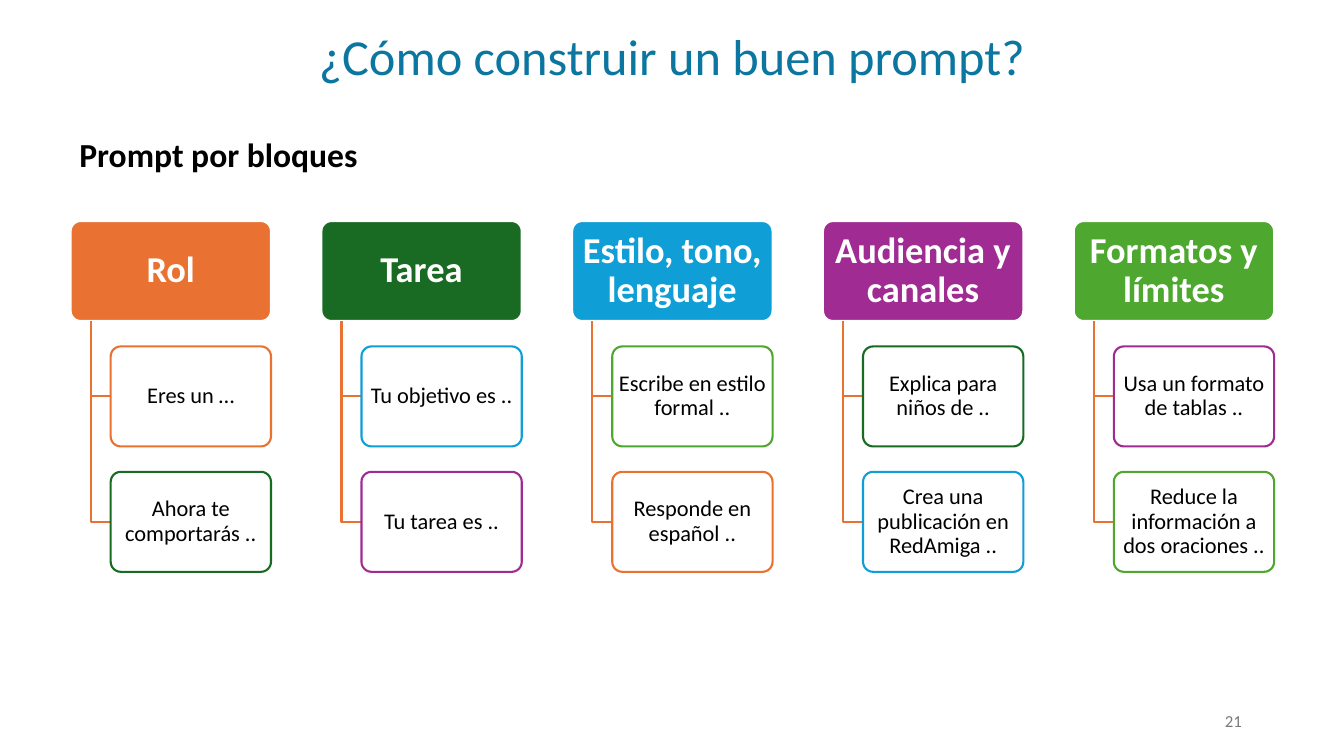
"""Build the slide on writing a good prompt block by block."""
from dataclasses import dataclass
from itertools import cycle

from lxml.etree import SubElement
from pptx import Presentation
from pptx.dml.color import RGBColor
from pptx.enum.shapes import MSO_SHAPE as Shape
from pptx.enum.text import MSO_ANCHOR as Anchor, PP_ALIGN as Align
from pptx.oxml.ns import qn
from pptx.util import Cm, Pt

TITLE = "¿Cómo construir un buen prompt?"
SUBTITLE = "Prompt por bloques"
PAGE_NUMBER = "21"
BLOCKS = [
    ("Rol", ["Eres un …", "Ahora te comportarás .."]),
    ("Tarea", ["Tu objetivo es ..", "Tu tarea es .."]),
    ("Estilo, tono, lenguaje", ["Escribe en estilo formal ..", "Responde en español .."]),
    ("Audiencia y canales", ["Explica para niños de ..", "Crea una publicación en RedAmiga .."]),
    ("Formatos y límites", ["Usa un formato de tablas ..", "Reduce la información a dos oraciones .."]),
]


@dataclass(frozen=True)
class Theme:
    font: str = "Calibri"
    title: str = "0B76A0"
    text: str = "000000"
    paper: str = "FFFFFF"
    muted: str = "797979"
    branch: str = "E97132"
    accents: tuple = ("E97132", "196B24", "0F9ED5", "A02B93", "4EA72E")
    title_size: int = 36
    block_size: int = 26
    subtitle_size: int = 24
    example_size: int = 16
    number_size: int = 12
    line_width: float = 1.5
    example_opacity: int = 90


THEME = Theme()
SLIDE_WIDTH, SLIDE_HEIGHT = 33.87, 19.05
LEFT, TOP = 1.78, 5.57
COLUMN_STEP, ROW_STEP = 6.32, 3.16
BLOCK_WIDTH, BOX_HEIGHT = 5.05, 2.52
EXAMPLE_INDENT = 1.01
EXAMPLE_WIDTH = BLOCK_WIDTH - EXAMPLE_INDENT
TRUNK_INDENT = EXAMPLE_INDENT / 2


def rgb(color):
    return RGBColor.from_string(color)


def write(frame, words, size, color, bold=False, align=Align.LEFT,
          anchor=Anchor.TOP, spacing=1.0):
    frame.word_wrap = True
    frame.vertical_anchor = anchor
    paragraph = frame.paragraphs[0]
    paragraph.text = words
    paragraph.alignment = align
    paragraph.line_spacing = spacing
    font = paragraph.font
    font.name, font.size, font.bold = THEME.font, Pt(size), bold
    font.color.rgb = rgb(color)


def add_label(slide, box, words, size, color, **style):
    label = slide.shapes.add_textbox(*map(Cm, box))
    write(label.text_frame, words, size, color, **style)


def add_box(slide, box, words, fill, line, size, color, bold=False, inset=0.08):
    card = slide.shapes.add_shape(Shape.ROUNDED_RECTANGLE, *map(Cm, box))
    card.adjustments[0] = 0.1
    card.shadow.inherit = False
    card.fill.solid()
    card.fill.fore_color.rgb = rgb(fill)
    card.line.color.rgb = rgb(line)
    card.line.width = Pt(THEME.line_width)
    frame = card.text_frame
    frame.margin_left = frame.margin_right = Cm(inset)
    frame.margin_top = frame.margin_bottom = Cm(inset * 0.7)
    write(frame, words, size, color, bold, Align.CENTER, Anchor.MIDDLE, 0.9)
    return card


def make_translucent(card, percent):
    color = card.fill._xPr.find(qn("a:solidFill"))[0]
    SubElement(color, qn("a:alpha"), val=str(percent * 1000))


def add_branch(slide, x, top, bottom):
    start, *bends = [(Cm(a), Cm(b)) for a, b in
                     ((x, top), (x, bottom), (x + TRUNK_INDENT, bottom))]
    builder = slide.shapes.build_freeform(*start)
    builder.add_line_segments(bends, close=False)
    branch = builder.convert_to_shape()
    branch.shadow.inherit = False
    branch.fill.background()
    branch.line.color.rgb = rgb(THEME.branch)
    branch.line.width = Pt(THEME.line_width)


def add_blocks(slide):
    outlines = cycle(THEME.accents)
    for column, ((block, examples), accent) in enumerate(zip(BLOCKS, THEME.accents)):
        x = LEFT + column * COLUMN_STEP
        add_box(slide, (x, TOP, BLOCK_WIDTH, BOX_HEIGHT), block, accent,
                THEME.paper, THEME.block_size, THEME.paper, bold=True, inset=0.13)
        for row, example in enumerate(examples, start=1):
            y = TOP + row * ROW_STEP
            add_branch(slide, x + TRUNK_INDENT, TOP + BOX_HEIGHT, y + BOX_HEIGHT / 2)
            card = add_box(slide, (x + EXAMPLE_INDENT, y, EXAMPLE_WIDTH, BOX_HEIGHT),
                           example, THEME.paper, next(outlines),
                           THEME.example_size, THEME.text)
            make_translucent(card, THEME.example_opacity)


def main():
    deck = Presentation()
    deck.slide_width, deck.slide_height = Cm(SLIDE_WIDTH), Cm(SLIDE_HEIGHT)
    slide = deck.slides.add_slide(deck.slide_layouts[6])
    add_label(slide, (0, 0.69, SLIDE_WIDTH, 1.65), TITLE, THEME.title_size,
              THEME.title, align=Align.CENTER, spacing=0.9)
    add_label(slide, (23.93, 17.65, 7.62, 1.02), PAGE_NUMBER, THEME.number_size,
              THEME.muted, align=Align.RIGHT, anchor=Anchor.MIDDLE)
    add_blocks(slide)
    add_label(slide, (1.75, 3.25, 16.94, 1.27), SUBTITLE, THEME.subtitle_size,
              THEME.text, bold=True)
    deck.save("out.pptx")


if __name__ == "__main__":
    main()
